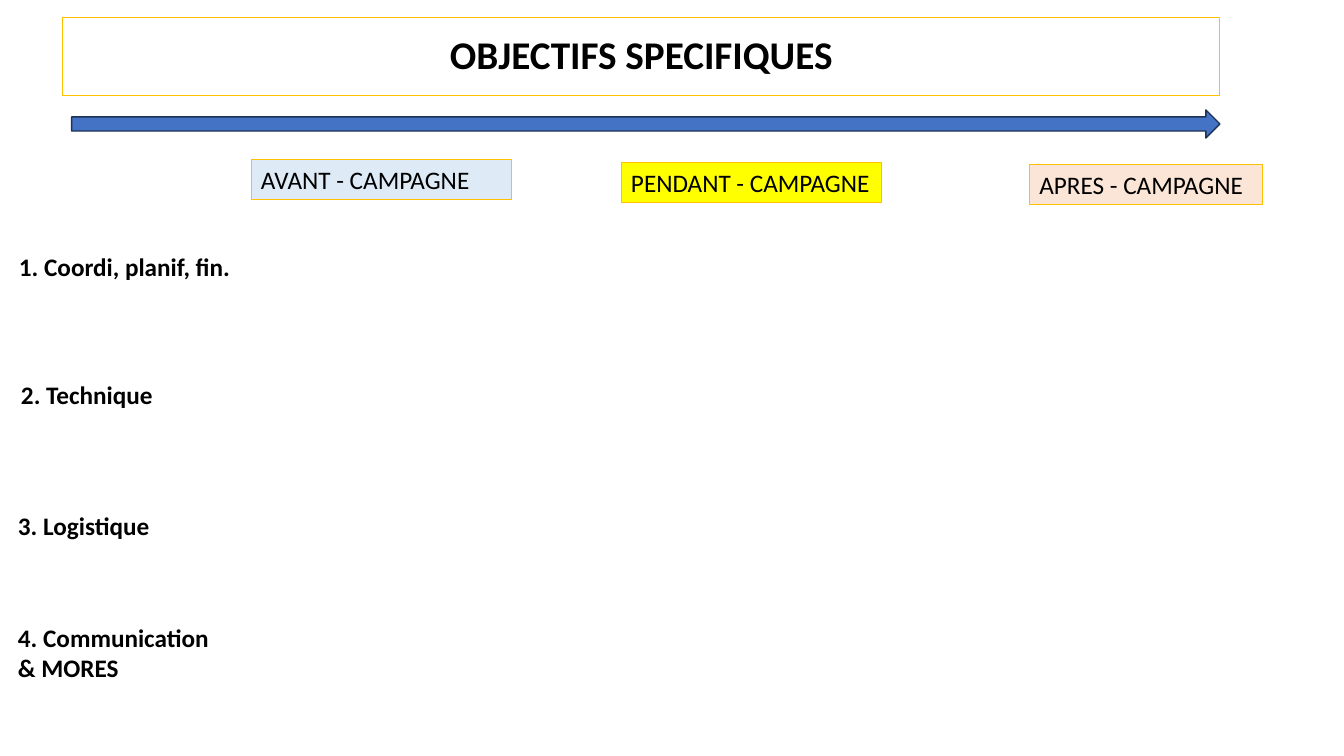
"""Build the slide of specific objectives across the campaign phases."""
from dataclasses import dataclass
from typing import Optional

from pptx import Presentation
from pptx.dml.color import RGBColor
from pptx.enum.shapes import MSO_SHAPE
from pptx.enum.text import MSO_ANCHOR, MSO_AUTO_SIZE, PP_ALIGN
from pptx.slide import Slide
from pptx.util import Inches, Pt

RIGHT_ARROW = MSO_SHAPE.RIGHT_ARROW
MIDDLE, TOP = MSO_ANCHOR.MIDDLE, MSO_ANCHOR.TOP
GROW, FIXED = MSO_AUTO_SIZE.SHAPE_TO_FIT_TEXT, MSO_AUTO_SIZE.NONE
CENTER, LEFT = PP_ALIGN.CENTER, PP_ALIGN.LEFT


@dataclass(frozen=True)
class Theme:
    """Colours, font and type sizes of the slide."""
    font: str = "Calibri"
    text: str = "000000"
    border: str = "FFC000"
    before: str = "DEEBF7"
    during: str = "FFFF00"
    after: str = "FBE5D6"
    arrow: str = "4472C4"
    arrow_border: str = "1E3256"
    title_size: int = 28
    label_size: int = 18
    border_width: float = 0.75
    arrow_border_width: float = 1


@dataclass(frozen=True)
class Label:
    """A text box with its place in inches and its look."""
    text: str
    left: float
    top: float
    width: float
    height: float = 0.4
    fill: Optional[str] = None
    framed: bool = False
    bold: bool = False
    is_title: bool = False


THEME = Theme()
TITLE = Label("OBJECTIFS SPECIFIQUES", 0.62, 0.17, 11.48, 0.78,
              framed=True, bold=True, is_title=True)
PHASES = [
    Label("AVANT - CAMPAGNE", 2.49, 1.58, 2.58, fill=THEME.before, framed=True),
    Label("PENDANT - CAMPAGNE", 6.16, 1.61, 2.58, fill=THEME.during, framed=True),
    Label("APRES - CAMPAGNE", 10.21, 1.63, 2.31, fill=THEME.after, framed=True),
]
OBJECTIVES = [
    Label("1. Coordi, planif, fin.", 0.09, 2.44, 2.36, bold=True),
    Label("2. Technique", 0.11, 3.71, 1.89, bold=True),
    Label("3. Logistique", 0.08, 5.01, 1.89, bold=True),
    Label("4. Communication & MORES", 0.08, 6.12, 2.18, 0.71, bold=True),
]


def apply_format(target: object, values: dict[str, object]) -> None:
    """Set each named attribute on the target."""
    for name, value in values.items():
        setattr(target, name, value)


def draw_label(page: Slide, label: Label) -> None:
    """Draw one label as a text box."""
    box = page.shapes.add_textbox(Inches(label.left), Inches(label.top),
                                  Inches(label.width), Inches(label.height))
    if label.fill:
        box.fill.solid()
        box.fill.fore_color.rgb = RGBColor.from_string(label.fill)
    if label.framed:
        box.line.color.rgb = RGBColor.from_string(THEME.border)
        box.line.width = Pt(THEME.border_width)
    apply_format(box.text_frame, {
        "word_wrap": True,
        "auto_size": FIXED if label.is_title else GROW,
        "vertical_anchor": MIDDLE if label.is_title else TOP,
    })
    para = box.text_frame.paragraphs[0]
    apply_format(para, {
        "alignment": CENTER if label.is_title else LEFT,
        "line_spacing": 0.9 if label.is_title else 1.0,
    })
    span = para.add_run()
    span.text = label.text
    apply_format(span.font, {
        "name": THEME.font,
        "size": Pt(THEME.title_size if label.is_title else THEME.label_size),
        "bold": label.bold,
    })
    span.font.color.rgb = RGBColor.from_string(THEME.text)


def draw_timeline(page: Slide) -> None:
    """Draw the arrow running across the campaign phases."""
    arrow = page.shapes.add_shape(RIGHT_ARROW, Inches(0.71), Inches(1.09),
                                  Inches(11.39), Inches(0.28))
    arrow.shadow.inherit = False
    arrow.fill.solid()
    arrow.fill.fore_color.rgb = RGBColor.from_string(THEME.arrow)
    arrow.line.color.rgb = RGBColor.from_string(THEME.arrow_border)
    arrow.line.width = Pt(THEME.arrow_border_width)


def main() -> None:
    """Build and save the deck."""
    deck = Presentation()
    apply_format(deck, {"slide_width": Inches(13.33), "slide_height": Inches(7.5)})
    page = deck.slides.add_slide(deck.slide_layouts[6])
    for label in [TITLE, *PHASES]:
        draw_label(page, label)
    draw_timeline(page)
    for label in OBJECTIVES:
        draw_label(page, label)
    deck.save("out.pptx")


if __name__ == "__main__":
    main()
